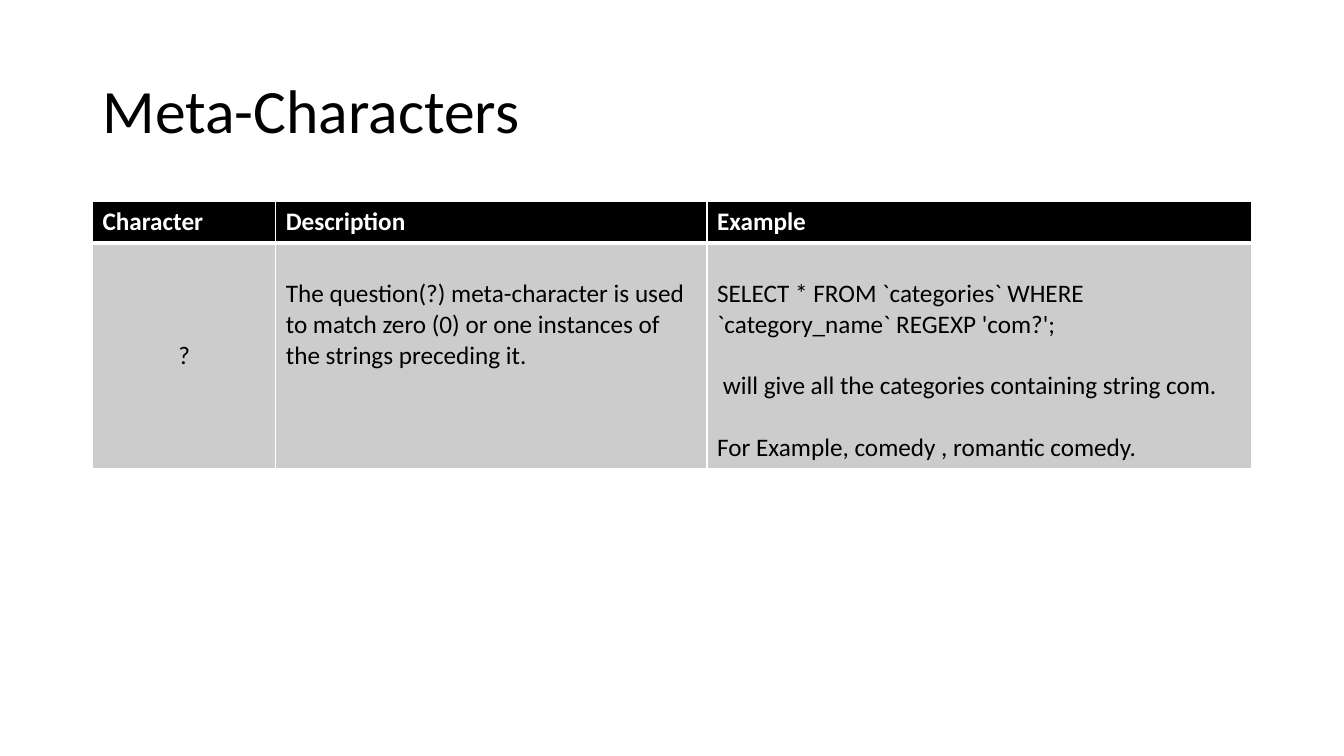
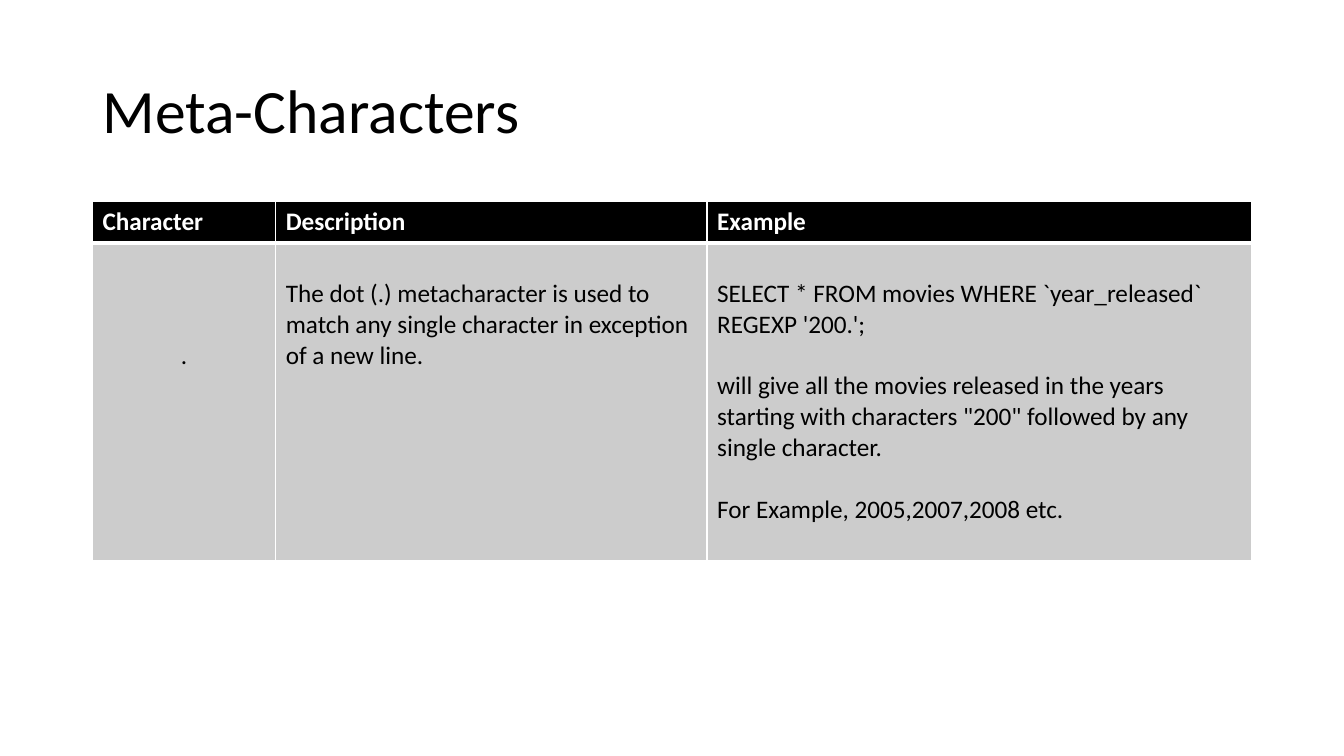
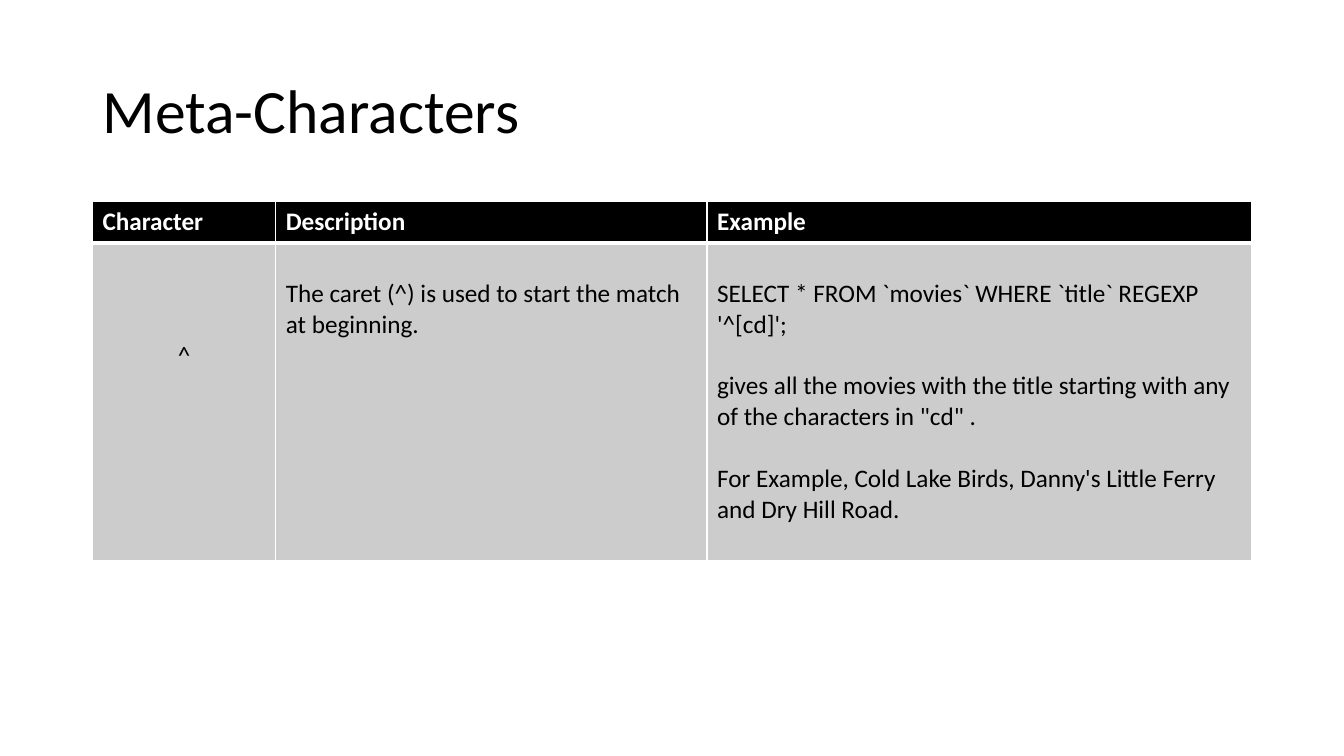
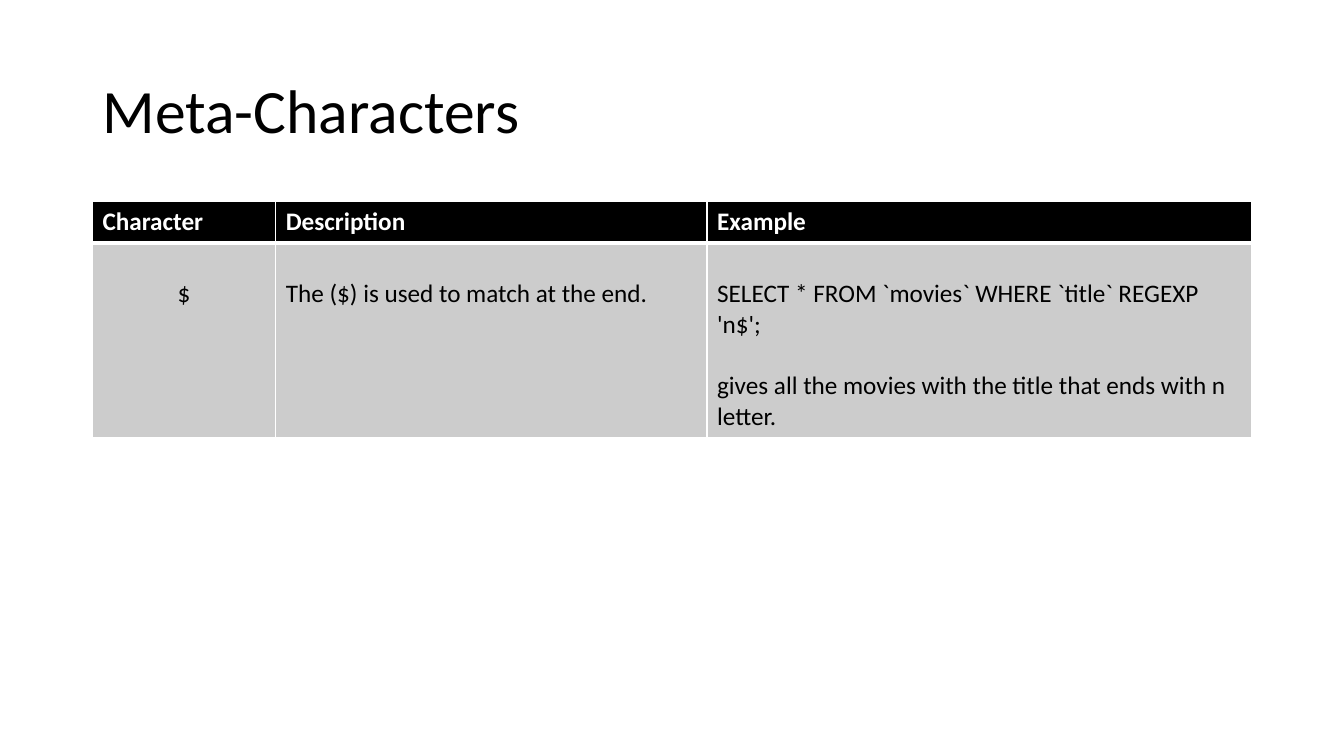
from dataclasses import dataclass

from lxml import etree
from pptx import Presentation
from pptx.dml.color import RGBColor
from pptx.enum import text
from pptx.oxml import ns
from pptx.util import Cm, Pt


# Colours, type sizes and spacing shared by all slides
@dataclass(frozen=True)
class Theme:
    font: str = "Calibri"
    black: str = "000000"
    white: str = "FFFFFF"
    grey: str = "CCCCCC"
    head: int = 44
    body: int = 18
    line: int = 22  # height of one body line, in points
    thin: int = 1
    thick: int = 3


T = Theme()
LEFT, WIDTH = 2.33, 29.21
COLS = (4.62, 10.87, 13.72)
HEADS = ("Character", "Description", "Example")
PAD = 0.13
LINE = Pt(T.line).cm

# Sign, lines above the sign, lines in the row, description, example paragraphs
SLIDES = (
    ("?", 3, 7,
     "The question(?) meta-character is used to match zero (0) or one "
     "instances of the strings preceding it.",
     ("SELECT * FROM `categories` WHERE `category_name` REGEXP 'com?';",
      " will give all the categories containing string com.",
      "For Example, comedy , romantic comedy.")),
    (".", 3, 10,
     "The dot (.) metacharacter is used to match any single character in "
     "exception of a new line.",
     ("SELECT * FROM movies WHERE `year_released` REGEXP '200.';",
      "will give all the movies released in the years starting with "
      "characters \"200\" followed by any single character.",
      "For Example, 2005,2007,2008 etc.")),
    ("^", 3, 10,
     "The caret (^) is used to start the match at beginning.",
     ("SELECT * FROM `movies` WHERE `title` REGEXP '^[cd]';",
      "gives all the movies with the title starting with any of the "
      "characters in \"cd\" .",
      "For Example, Cold Lake Birds, Danny's Little Ferry and Dry Hill Road.")),
    ("$", 1, 6,
     "The ($) is used to match at the end.",
     ("SELECT * FROM `movies` WHERE `title` REGEXP 'n$';",
      "gives all the movies with the title that ends with n letter.")),
)


# Text
def add_run(para, words, size, color, bold=False):
    run = para.add_run()
    run.text = words
    font = run.font
    font.name, font.size, font.bold = T.font, Pt(size), bold
    font.color.rgb = RGBColor.from_string(color)


def add_title(slide, words):
    title = slide.shapes.title
    title.left, title.top = Cm(LEFT), Cm(1.02)
    title.width, title.height = Cm(WIDTH), Cm(3.68)
    frame = title.text_frame
    frame.auto_size = text.MSO_AUTO_SIZE.NONE
    frame.vertical_anchor = text.MSO_ANCHOR.MIDDLE
    para = frame.paragraphs[0]
    para.alignment = text.PP_ALIGN.LEFT
    para.line_spacing = 0.9
    add_run(para, words, T.head, T.black)


# Table cells
def set_edges(cell, top, bottom):
    props = cell._tc.get_or_add_tcPr()
    edges = (("L", T.thin), ("R", T.thin), ("T", top), ("B", bottom))
    for spot, (side, width) in enumerate(edges):
        edge = etree.Element(ns.qn("a:ln" + side), w=str(Pt(width)))
        fill = etree.SubElement(edge, ns.qn("a:solidFill"))
        etree.SubElement(fill, ns.qn("a:srgbClr"), val=T.white)
        props.insert(spot, edge)


def fill_cell(cell, paras, head=False, lines=0, align=text.PP_ALIGN.LEFT):
    cell.fill.solid()
    cell.fill.fore_color.rgb = RGBColor.from_string(T.black if head else T.grey)
    cell.margin_top = Cm(PAD + lines * LINE)
    cell.margin_bottom = Cm(PAD)
    frame = cell.text_frame
    for spot, words in enumerate(paras):
        para = frame.add_paragraph() if spot else frame.paragraphs[0]
        para.alignment = align
        if spot:
            para.space_before = Pt(T.line)
        add_run(para, words, T.body, T.white if head else T.black, head)
    if head:
        set_edges(cell, T.thin, T.thick)
    else:
        set_edges(cell, T.thick, T.thin)


def add_grid(slide, sign, drop, count, about, sample):
    high = (1.02, 2 * PAD + count * LINE)
    frame = slide.shapes.add_table(2, len(COLS), Cm(LEFT), Cm(5.08),
                                   Cm(WIDTH), Cm(sum(high)))
    table = frame.table
    table.horz_banding = False
    for col, width in zip(table.columns, COLS):
        col.width = Cm(width)
    for row, size in zip(table.rows, high):
        row.height = Cm(size)
    for spot, words in enumerate(HEADS):
        fill_cell(table.cell(0, spot), [words], head=True)
    fill_cell(table.cell(1, 0), [sign], lines=drop, align=text.PP_ALIGN.CENTER)
    fill_cell(table.cell(1, 1), [about], lines=1)
    fill_cell(table.cell(1, 2), sample, lines=1)


def main():
    deck = Presentation()
    deck.slide_width, deck.slide_height = Cm(33.87), Cm(19.05)
    for entry in SLIDES:
        slide = deck.slides.add_slide(deck.slide_layouts[5])
        add_title(slide, "Meta-Characters")
        add_grid(slide, *entry)
    deck.save("out.pptx")


if __name__ == "__main__":
    main()
